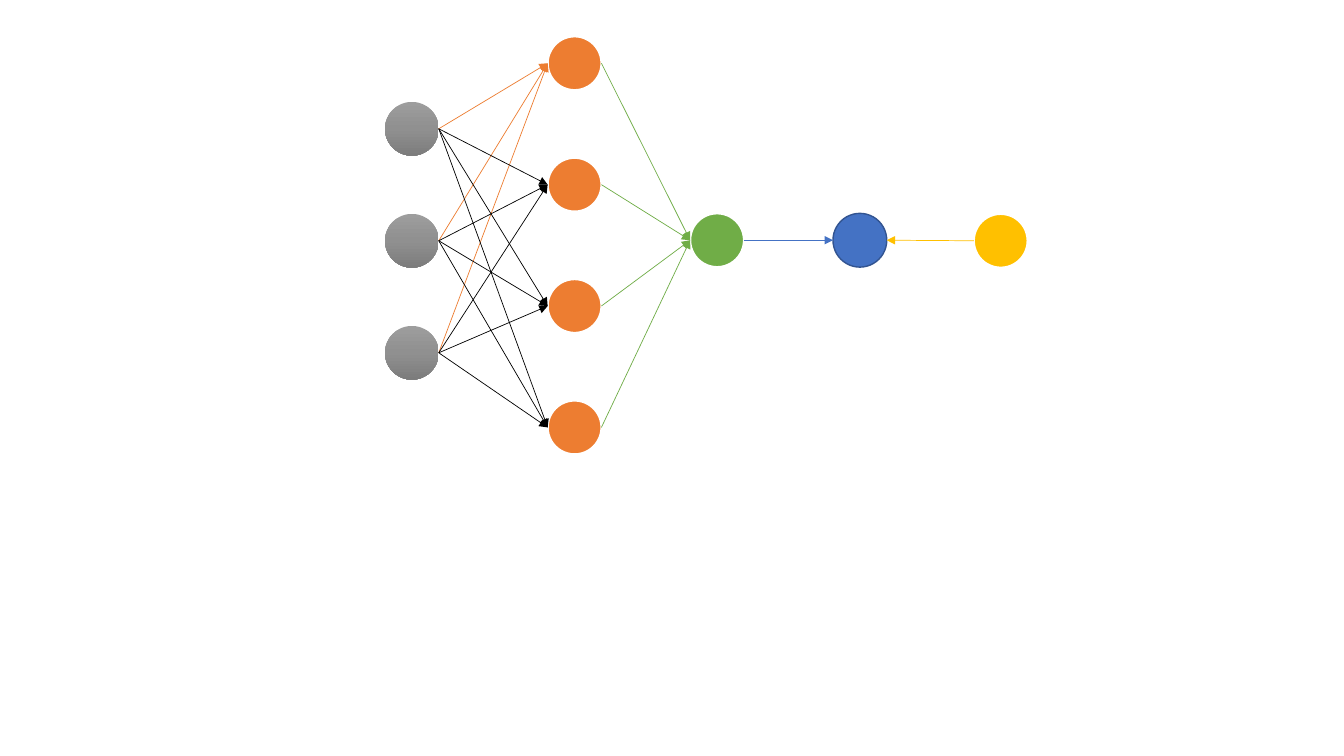
"""Draw a small feed-forward network with its output compared to a target."""
import copy
from dataclasses import dataclass

import pptx
import pptx.dml.color
import pptx.enum.shapes
import pptx.oxml
import pptx.oxml.ns
import pptx.util

Pt = pptx.util.Pt
qn = pptx.oxml.ns.qn


@dataclass(frozen=True)
class Theme:
    input_stops: tuple = ((0, "9D9D9D"), (0.5, "909090"), (1, "7C7C7C"))
    hidden: str = "ED7D31"
    output: str = "70AD47"
    loss: str = "4472C4"
    loss_outline: str = "325491"
    target: str = "FFC000"
    weight: str = "000000"
    outline: str = "FFFFFF"
    outline_width: float = 1.5
    loss_outline_width: float = 1
    arrow_width: float = 0.5
    diameter: float = 38.4


def rgb(value):
    return pptx.dml.color.RGBColor.from_string(value)


class Diagram:
    def __init__(self, slide, theme):
        self.slide = slide
        self.theme = theme

    def circle(self, left, middle):
        size = self.theme.diameter
        shape = self.slide.shapes.add_shape(
            pptx.enum.shapes.MSO_SHAPE.OVAL,
            Pt(left), Pt(middle - size / 2), Pt(size), Pt(size))
        shape.shadow.inherit = False
        return shape

    def solid_node(self, left, middle, color, outline=None, width=None):
        shape = self.circle(left, middle)
        shape.fill.solid()
        shape.fill.fore_color.rgb = rgb(color)
        shape.line.color.rgb = rgb(outline or self.theme.outline)
        shape.line.width = Pt(width or self.theme.outline_width)

    def gradient_node(self, left, middle):
        shape = self.circle(left, middle)
        shape.line.fill.background()
        shape.fill.gradient()
        shape.fill.gradient_angle = 270
        stop_list = shape.element.spPr.find(".//" + qn("a:gsLst"))
        stop_list.append(copy.deepcopy(stop_list[-1]))
        for stop, (position, color) in zip(shape.fill.gradient_stops, self.theme.input_stops):
            stop.position = position
            stop.color.rgb = rgb(color)

    def arrow(self, start, end, color):
        connector = self.slide.shapes.add_connector(
            pptx.enum.shapes.MSO_CONNECTOR.STRAIGHT, *map(Pt, start + end))
        connector.line.color.rgb = rgb(color)
        connector.line.width = Pt(self.theme.arrow_width)
        line = connector.line._get_or_add_ln()
        line.append(pptx.oxml.parse_xml(
            f'<a:tailEnd {pptx.oxml.ns.nsdecls("a")} type="triangle"/>'))
        connector.element.spPr.append(pptx.oxml.parse_xml(
            f'<a:effectLst {pptx.oxml.ns.nsdecls("a")}/>'))


presentation = pptx.Presentation()
presentation.slide_width, presentation.slide_height = Pt(960), Pt(540)
slide = presentation.slides.add_slide(presentation.slide_layouts[6])
theme = Theme()
diagram = Diagram(slide, theme)

input_left, hidden_left, output_left, loss_left, target_left = 275, 391.2, 493, 595, 695.6
input_middles = [92 + 80 * row for row in range(3)]
hidden_middles = [45.2 + 86.7 * row for row in range(4)]
output_middle, target_middle = 171.6, 172
input_right, hidden_right, output_right, loss_right = (
    left + theme.diameter for left in (input_left, hidden_left, output_left, loss_left))

for middle in input_middles:
    diagram.gradient_node(input_left, middle)
for middle in hidden_middles:
    diagram.solid_node(hidden_left, middle, theme.hidden)
diagram.solid_node(output_left, output_middle, theme.output)
diagram.solid_node(loss_left, output_middle, theme.loss,
                   theme.loss_outline, theme.loss_outline_width)
diagram.solid_node(target_left, target_middle, theme.target)

for row, hidden_middle in enumerate(hidden_middles):
    color = theme.weight if row else theme.hidden
    for input_middle in input_middles:
        diagram.arrow((input_right, input_middle), (hidden_left, hidden_middle), color)
for hidden_middle in hidden_middles:
    diagram.arrow((hidden_right, hidden_middle), (output_left, output_middle), theme.output)
diagram.arrow((output_right, output_middle), (loss_left, output_middle), theme.loss)
diagram.arrow((target_left, target_middle), (loss_right, output_middle), theme.target)

presentation.save("out.pptx")
